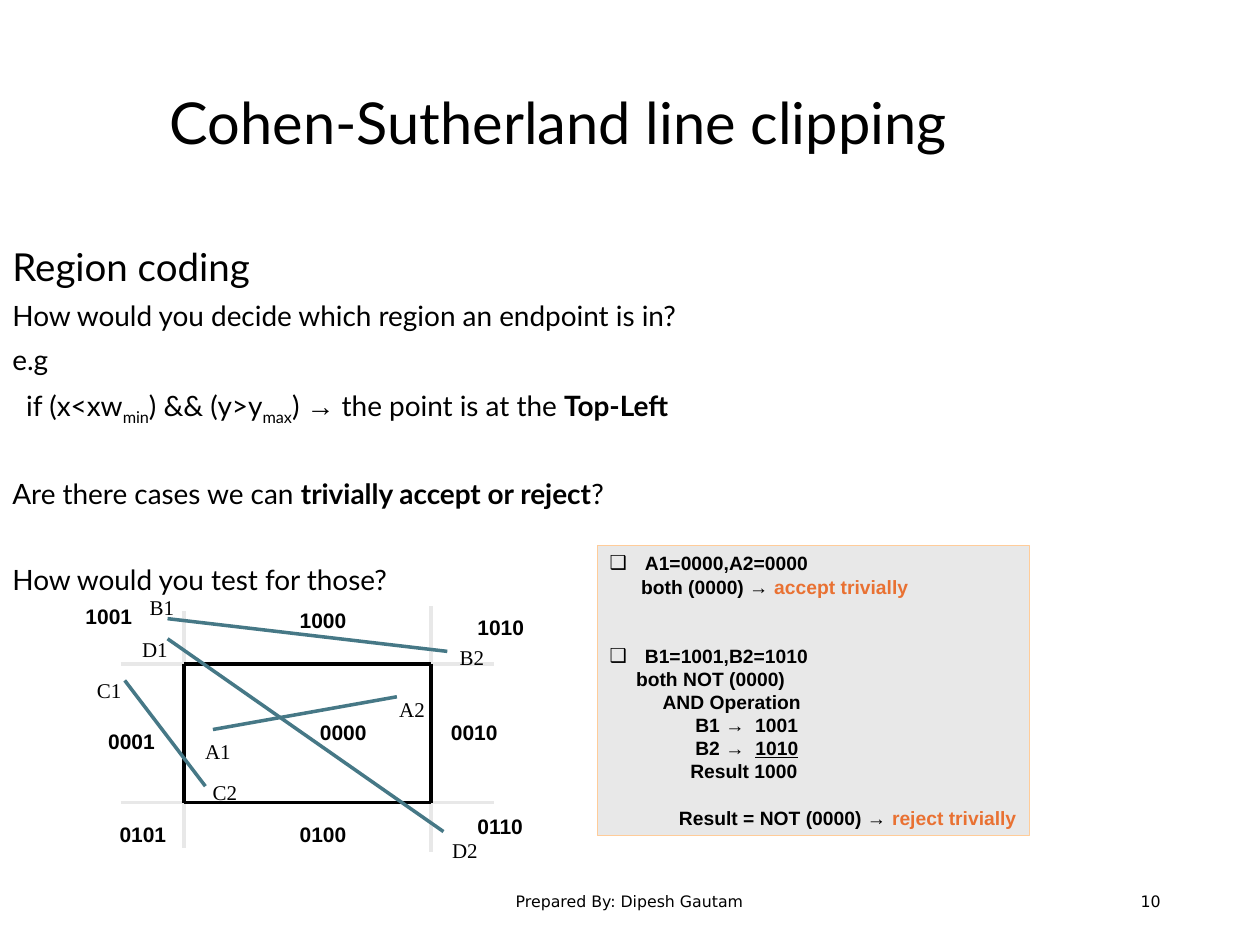
from lxml.etree import SubElement
from pptx import Presentation
from pptx.dml.color import RGBColor
from pptx.enum.shapes import MSO_CONNECTOR, MSO_SHAPE
from pptx.enum.text import MSO_ANCHOR, PP_ALIGN
from pptx.oxml.ns import qn
from pptx.util import Inches, Pt

COLORS = {
    "text": "000000",
    "guide": "E8E8E8",
    "segment": "467886",
    "panel": "E8E8E8",
    "panel_edge": "FFCC99",
    "accent": "E97132",
}

deck = Presentation()
deck.slide_width, deck.slide_height = Inches(10), Inches(7.5)
page = deck.slides.add_slide(deck.slide_layouts[6])


def add_text(left, top, width, height, text, font, size, bold=False,
             align=PP_ALIGN.LEFT, anchor=MSO_ANCHOR.TOP, wrap=True):
    """Add a text box holding one paragraph and return its text frame."""
    box = page.shapes.add_textbox(Inches(left), Inches(top), Inches(width), Inches(height))
    frame = box.text_frame
    frame.word_wrap = wrap
    frame.vertical_anchor = anchor
    para = frame.paragraphs[0]
    para.text = text
    para.alignment = align
    style(para, font, size, bold)
    return frame


def style(para, font, size, bold=False):
    para.font.name = font
    para.font.size = Pt(size)
    para.font.bold = bold
    para.font.color.rgb = RGBColor.from_string(COLORS["text"])


# Footer and title
add_text(3.31, 6.95, 3.37, 0.4, "Prepared By: Dipesh Gautam", "DejaVu Sans", 9,
         align=PP_ALIGN.CENTER, anchor=MSO_ANCHOR.MIDDLE)
add_text(7.06, 6.95, 2.25, 0.4, "10", "DejaVu Sans", 9,
         align=PP_ALIGN.RIGHT, anchor=MSO_ANCHOR.MIDDLE)
title = add_text(1.25, 0.33, 8.75, 1.33, "Cohen-Sutherland line clipping", "Lato", 33,
                 anchor=MSO_ANCHOR.MIDDLE)
title.paragraphs[0].line_spacing = 0.9

# Questions: (space before, first-line indent, [(text, emphasis)])
body = add_text(0, 1.92, 8.75, 4.67, "Region coding", "Lato", 22)
body.paragraphs[0].line_spacing = 0.9
questions = [
    (7.5, 0, [("How would you decide which region an endpoint is in?", "")]),
    (7.5, 0, [("e.g", "")]),
    (7.5, 0.11, [("if (x<xw", ""), ("min", "sub"), (") && (y>y", ""), ("max", "sub"),
                 (") ", ""), ("→", "arrow"), (" the point is at the ", ""),
                 ("Top-Left", "bold")]),
    (32.3, 0, [("Are there cases we can ", ""), ("trivially accept or reject", "bold"),
               ("?", "")]),
    (32, 0, [("How would you test for those?", "")]),
]
for space, indent, parts in questions:
    para = body.add_paragraph()
    para.line_spacing = 0.9
    para.space_before = Pt(space)
    para._p.get_or_add_pPr().set("indent", str(Inches(indent)))
    style(para, "Lato", 16)
    for text, emphasis in parts:
        span = para.add_run()
        span.text = text
        if emphasis == "sub":
            span.font._element.set("baseline", "-25000")
        elif emphasis == "arrow":
            span.font.name = "Arial"
        elif emphasis == "bold":
            span.font.bold = True

# Clipping window, its guides and the four test segments
left, right, top, bottom = 1.46, 3.42, 5.27, 6.37
lines = {
    "guide": [(left, 4.85, left, 6.73), (right, 4.81, right, 6.76),
              (0.96, top, 3.92, top), (0.96, bottom, 3.92, bottom)],
    "text": [(left, top, left, bottom), (left, top, right, top),
             (left, bottom, right, bottom), (right, top, right, bottom)],
    "segment": [(1.69, 5.79, 3.15, 5.53), (1.33, 4.91, 3.55, 5.17),
                (0.99, 5.4, 1.63, 6.24), (1.33, 5.07, 3.52, 6.6)],
}
for color, ends in lines.items():
    for end in ends:
        line = page.shapes.add_connector(MSO_CONNECTOR.STRAIGHT, *map(Inches, end))
        line.line.color.rgb = RGBColor.from_string(COLORS[color])
        line.line.width = Pt(2)
        SubElement(line._element.spPr, qn("a:effectLst"))

region_codes = [
    ("1001", 0.58, 4.74), ("1000", 2.28, 4.77), ("1010", 3.69, 4.83),
    ("0001", 0.76, 5.73), ("0000", 2.44, 5.66), ("0010", 3.48, 5.66),
    ("0101", 0.85, 6.47), ("0100", 2.28, 6.47), ("0110", 3.69, 6.41),
]
for code, x, y in region_codes:
    add_text(x, y, 0.59, 0.3, code, "Arial", 12, bold=True, wrap=False)

endpoints = [
    ("A1", 1.53, 5.81), ("A2", 3.07, 5.48), ("B1", 1.09, 4.67), ("B2", 3.55, 5.07),
    ("C1", 0.67, 5.33), ("C2", 1.59, 6.14), ("D1", 1.03, 5), ("D2", 3.49, 6.6),
]
for name, x, y in endpoints:
    add_text(x, y, 0.44, 0.3, name, "Times New Roman", 12, wrap=False)

# Worked tests
panel = page.shapes.add_shape(MSO_SHAPE.RECTANGLE, Inches(4.74), Inches(4.33),
                              Inches(3.43), Inches(2.3))
panel.shadow.inherit = False
panel.fill.solid()
panel.fill.fore_color.rgb = RGBColor.from_string(COLORS["panel"])
panel.line.color.rgb = RGBColor.from_string(COLORS["panel_edge"])
panel.line.width = Pt(0.75)
frame = panel.text_frame
frame.word_wrap = True
frame.vertical_anchor = MSO_ANCHOR.TOP
frame.margin_right = Inches(0.02)

# (blank lines above, indent or None for a bullet, [(text, look)])
line_height = 13.2
tests = [
    (0, None, [("A1=0000,A2=0000", "")]),
    (0, 0.25, [("both (0000) → ", ""), ("accept trivially", "accent")]),
    (2, None, [("B1=1001,B2=1010", "")]),
    (0, 0.21, [("both NOT (0000)", "")]),
    (0, 0.42, [("AND Operation", "")]),
    (0, 0.68, [("B1 →  1001", "")]),
    (0, 0.68, [("B2 →  ", ""), ("1010", "underline")]),
    (0, 0.64, [("Result 1000", "")]),
    (1, 0.55, [("Result = NOT (0000) → ", ""), ("reject trivially", "accent")]),
]
for number, (blanks, indent, parts) in enumerate(tests):
    para = frame.add_paragraph() if number else frame.paragraphs[0]
    para.alignment = PP_ALIGN.LEFT
    props = para._p.get_or_add_pPr()
    if indent is None:
        props.set("marL", str(Inches(0.28)))
        props.set("indent", str(-Inches(0.28)))
        bullet_color = SubElement(props, qn("a:buClr"))
        SubElement(bullet_color, qn("a:srgbClr"), val=COLORS["text"])
        SubElement(props, qn("a:buFont"), typeface="Arial")
        SubElement(props, qn("a:buChar"), char="❑")
    else:
        props.set("indent", str(Inches(indent)))
    para.line_spacing = Pt(line_height)
    if blanks:
        para.space_before = Pt(blanks * line_height)
    style(para, "Arial", 11, bold=True)
    for text, look in parts:
        span = para.add_run()
        span.text = text
        if look == "accent":
            span.font.color.rgb = RGBColor.from_string(COLORS["accent"])
        elif look == "underline":
            span.font.underline = True

deck.save("out.pptx")
